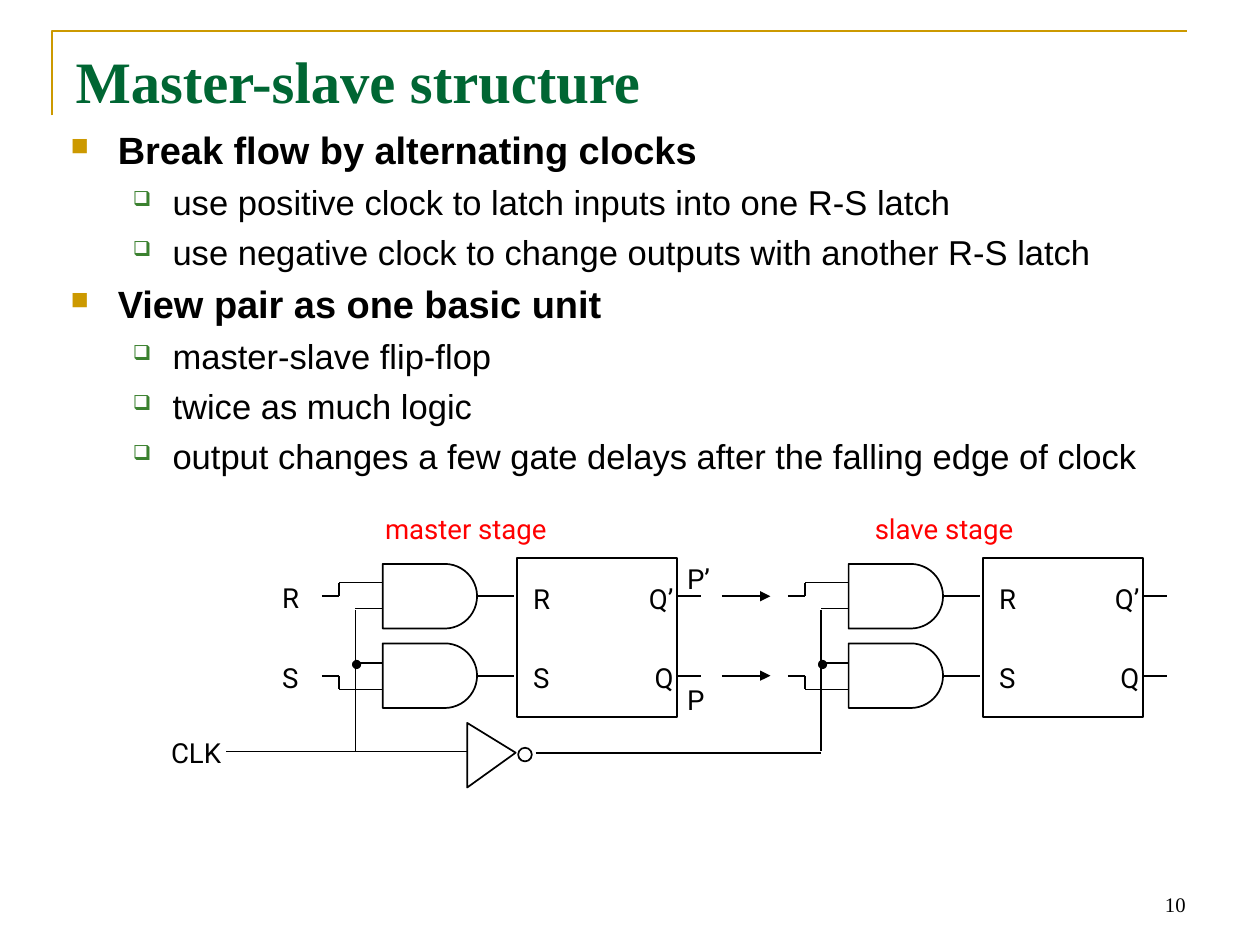
import math

import lxml.etree
import pptx
import pptx.dml.color
import pptx.enum.shapes
import pptx.enum.text
import pptx.oxml
import pptx.oxml.ns
import pptx.util

Inches = pptx.util.Inches
Pt = pptx.util.Pt
RGBColor = pptx.dml.color.RGBColor
Align = pptx.enum.text.PP_ALIGN
Anchor = pptx.enum.text.MSO_ANCHOR
Shape = pptx.enum.shapes.MSO_SHAPE
qn = pptx.oxml.ns.qn

BLACK = RGBColor(0, 0, 0)
WHITE = RGBColor(255, 255, 255)
RED = RGBColor(255, 0, 0)
GOLD = RGBColor(0xCC, 0x99, 0x00)
GREEN = RGBColor(0x00, 0x66, 0x33)
LEAF = RGBColor(0x3B, 0x81, 0x2F)

STAGE_GAP = 3.75
GATE_GAP = 0.64
TOP_ROW = 4.8
ROWS = (TOP_ROW, TOP_ROW + GATE_GAP)
CLOCK = 6.05

POINTS = (
    (0, "Break flow by alternating clocks"),
    (1, "use positive clock to latch inputs into one R-S latch"),
    (1, "use negative clock to change outputs with another R-S latch"),
    (0, "View pair as one basic unit"),
    (1, "master-slave flip-flop"),
    (1, "twice as much logic"),
    (1, "output changes a few gate delays after the falling edge of clock"),
)
LEVELS = (
    dict(mark="■", tint=GOLD, scale=65, left=0.38, hang=0.38, size=22, bold=True),
    dict(mark="❑", tint=LEAF, scale=60, left=0.82, hang=0.32, size=20, bold=False),
)


def set_font(para, size, face, color, bold=False):
    """Set the font of a paragraph."""
    font = para.font
    font.size, font.name, font.bold = Pt(size), face, bold
    font.color.rgb = color


def add_box(slide, box, pad=(0.1, 0.05), wrap=True, anchor=Anchor.TOP):
    """Add an empty text box and return its frame."""
    frame = slide.shapes.add_textbox(*map(Inches, box)).text_frame
    frame.margin_left = frame.margin_right = Inches(pad[0])
    frame.margin_top = frame.margin_bottom = Inches(pad[1])
    frame.word_wrap, frame.vertical_anchor = wrap, anchor
    return frame


def add_text(slide, text, box, size=16, face="Roboto", color=BLACK, bold=False,
             align=Align.LEFT, space=None, **layout):
    """Add one line of text with its format."""
    para = add_box(slide, box, **layout).paragraphs[0]
    para.text, para.alignment = text, align
    if space:
        para.line_spacing = Pt(space)
    set_font(para, size, face, color, bold)


def add_label(slide, text, left, top, width, space=21, **style):
    """Add a short label to the circuit."""
    add_text(slide, text, (left, top, width, 0.43), space=space,
             pad=(0.02, 0.03), wrap=False, **style)


def add_mark(para, mark, tint, scale, left, hang):
    """Give a paragraph its bullet and indent."""
    props = para._p.get_or_add_pPr()
    props.set("marL", str(Inches(left)))
    props.set("indent", str(-Inches(hang)))
    color = lxml.etree.SubElement(props, qn("a:buClr"))
    lxml.etree.SubElement(color, qn("a:srgbClr"), val=str(tint))
    lxml.etree.SubElement(props, qn("a:buSzPct"), val=str(scale * 1000))
    lxml.etree.SubElement(props, qn("a:buChar"), char=mark)


def add_list(slide, box, points):
    """Add the list of points on two levels."""
    frame = add_box(slide, box)
    for place, (level, text) in enumerate(points):
        para = frame.add_paragraph() if place else frame.paragraphs[0]
        style = dict(LEVELS[level])
        size, bold = style.pop("size"), style.pop("bold")
        para.text, para.level = text, level
        add_mark(para, **style)
        para.space_before = Pt(5 if place else 0)
        set_font(para, size, "Arial", BLACK, bold)


def paint(shape, fill=WHITE, line=BLACK, width=1):
    """Set fill and line of a shape."""
    shape.shadow.inherit = False
    if fill is None:
        shape.fill.background()
    else:
        shape.fill.solid()
        shape.fill.fore_color.rgb = fill
    shape.line.color.rgb, shape.line.width = line, Pt(width)


def add_shape(slide, kind, box, **style):
    """Add a preset shape."""
    paint(slide.shapes.add_shape(kind, *map(Inches, box)), **style)


def add_outline(slide, dots, close=True, **style):
    """Add a shape drawn through the given points."""
    spots = [(Inches(x), Inches(y)) for x, y in dots]
    pen = slide.shapes.build_freeform(*spots[0], scale=1.0)
    pen.add_line_segments(spots[1:], close=close)
    paint(pen.convert_to_shape(), **style)


def add_wire(slide, start, end, arrow=False):
    """Add a straight wire, with an arrowhead if asked."""
    wire = slide.shapes.add_connector(
        pptx.enum.shapes.MSO_CONNECTOR.STRAIGHT, *map(Inches, start + end))
    wire.line.color.rgb, wire.line.width = BLACK, Pt(1)
    if arrow:
        lxml.etree.SubElement(wire.line._get_or_add_ln(), qn("a:tailEnd"), type="triangle")
    lxml.etree.SubElement(wire._element.spPr, qn("a:effectLst"))


def add_gate(slide, left, mid):
    """Add an AND gate and the wire that leaves it."""
    radius, bend, steps = 0.26, left + 0.5, 24
    dots = [(left, mid + radius), (left, mid - radius)]
    for step in range(steps + 1):
        turn = math.pi * (step / steps - 0.5)
        dots.append((bend + radius * math.cos(turn), mid + radius * math.sin(turn)))
    add_outline(slide, dots)
    add_wire(slide, (left + 0.76, mid), (left + 1.06, mid))


def add_stage(slide, left):
    """Add a latch with its two gates and input wires."""
    gate, latch, bus, step = left + 0.49, left + 1.57, left + 0.27, left + 0.14
    add_shape(slide, Shape.RECTANGLE, (latch, 4.49, 1.29, 1.28))
    for mid, name, out, side in zip(ROWS, "RS", ("Q’", "Q"), (-1, 1)):
        add_gate(slide, gate, mid)
        add_label(slide, name, latch + 0.11, mid - 0.17, 0.4)
        add_label(slide, out, latch + 0.67, mid - 0.17, 0.61, align=Align.RIGHT)
        add_wire(slide, (latch + 1.29, mid), (latch + 1.48, mid))
        add_wire(slide, (left, mid), (step, mid))
        add_wire(slide, (step, mid), (step, mid + side * 0.11))
        add_wire(slide, (step, mid + side * 0.11), (gate, mid + side * 0.11))
        add_wire(slide, (bus, mid - side * 0.1), (gate, mid - side * 0.1))
    add_wire(slide, (bus, 4.91), (bus, CLOCK))
    add_shape(slide, Shape.OVAL, (left + 0.25, 5.32, 0.06, 0.06), fill=BLACK)


def add_clock(slide):
    """Add the clock line with its inverter."""
    add_label(slide, "CLK", 0.76, 5.86, 1.04, space=22, align=Align.RIGHT)
    add_wire(slide, (1.82, CLOCK), (3.76, CLOCK))
    add_outline(slide, ((3.76, 5.82), (4.15, 6.06), (3.76, 6.34)))
    add_shape(slide, Shape.OVAL, (4.17, 6.02, 0.11, 0.11))
    add_wire(slide, (4.31, 6.06), (6.61, 6.06))


def main():
    """Build the slide and save it."""
    deck = pptx.Presentation()
    deck.slide_width, deck.slide_height = Inches(10.14), Inches(7.6)
    slide = deck.slides.add_slide(deck.slide_layouts[6])
    add_outline(slide, ((0.42, 0.93), (0.42, 0.25), (9.55, 0.25)),
                close=False, fill=None, line=GOLD, width=1.5)
    add_text(slide, "10", (7.27, 6.92, 2.37, 0.51), size=12,
             face="Times New Roman", align=Align.RIGHT, anchor=Anchor.BOTTOM)
    add_text(slide, "Master-slave structure", (0.51, 0.31, 9.12, 1.26), size=34,
             face="Times New Roman", color=GREEN, bold=True)
    add_list(slide, (0.47, 0.97, 9.12, 5.02), POINTS)
    add_label(slide, "master stage", 3.08, 4.07, 2, color=RED)
    add_label(slide, "slave stage", 7.02, 4.07, 1.82, color=RED)
    for place in range(2):
        add_stage(slide, 2.59 + place * STAGE_GAP)
    add_clock(slide)
    for mid, name in zip(ROWS, "RS"):
        add_label(slide, name, 2.25, mid - 0.19, 0.65, space=22)
        add_wire(slide, (5.81, mid), (6.2, mid), arrow=True)
    add_label(slide, "P’", 5.51, 4.47, 0.72)
    add_label(slide, "P", 5.51, 5.44, 0.64)
    deck.save("out.pptx")


if __name__ == "__main__":
    main()
